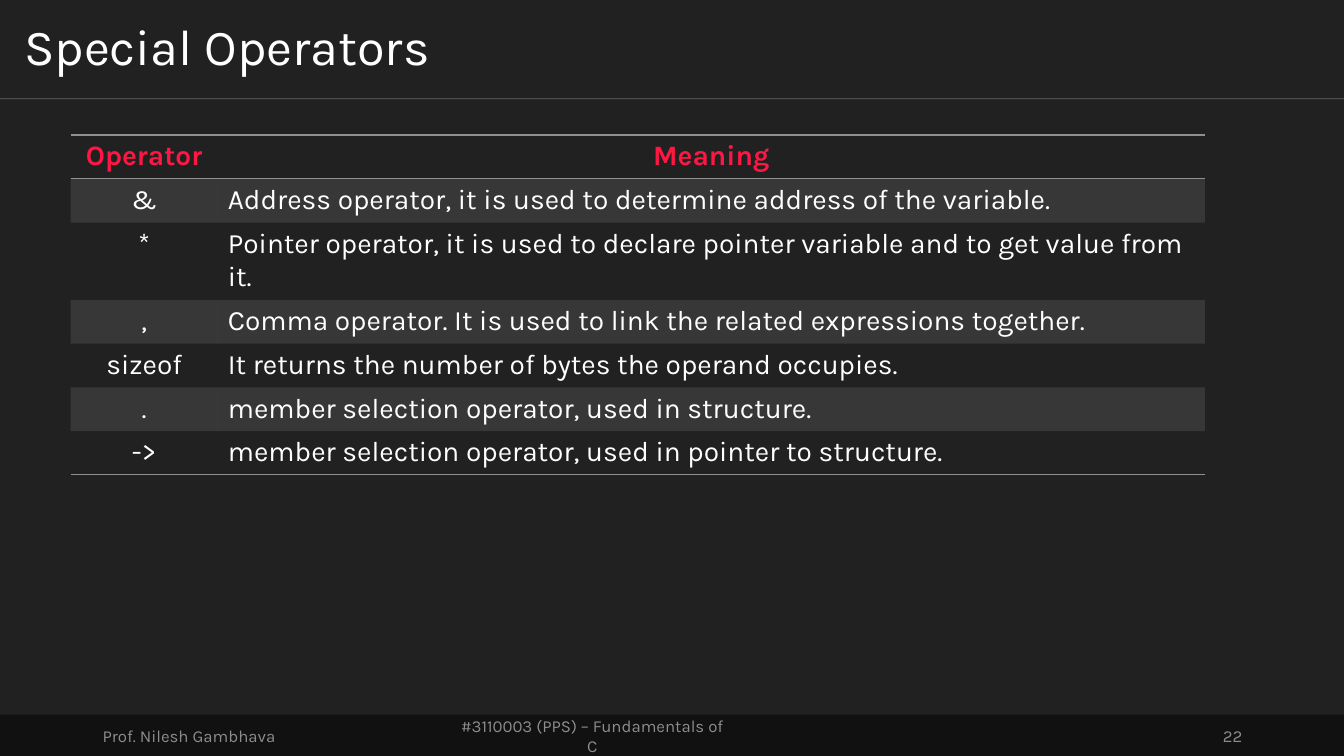
from dataclasses import dataclass

from lxml.etree import SubElement
from pptx import Presentation
from pptx.dml.color import RGBColor
from pptx.enum.shapes import MSO_CONNECTOR, MSO_SHAPE
from pptx.enum.text import MSO_ANCHOR, PP_ALIGN
from pptx.oxml import parse_xml
from pptx.oxml.ns import nsdecls, qn
from pptx.util import Inches, Pt


@dataclass(frozen=True)
class Theme:
    font: str = "Karla"
    background: str = "212121"
    footer_bar: str = "111111"
    footer_text: str = "8D8D8D"
    text: str = "FFFFFF"
    accent: str = "FF1744"
    table_gray: str = "909090"
    title_size: int = 36
    table_size: int = 20
    footer_size: int = 12


THEME = Theme()
NO_GRID_STYLE = "{2D5ABB26-0587-4C30-8999-92F81FD0307C}"

HEADINGS = ("Operator", "Meaning")
OPERATORS = [
    ("&", "Address operator, it is used to determine address of the variable."),
    ("*", "Pointer operator, it is used to declare pointer variable and to get value from it."),
    (",", "Comma operator. It is used to link the related expressions together."),
    ("sizeof", "It returns the number of bytes the operand occupies."),
    (".", "member selection operator, used in structure."),
    ("->", "member selection operator, used in pointer to structure."),
]
FOOTERS = [
    (0.92, 3, "Prof. Nilesh Gambhava", PP_ALIGN.LEFT),
    (4.42, 2.91, "#3110003 (PPS) – Fundamentals of C", PP_ALIGN.CENTER),
    (9.42, 3, "22", PP_ALIGN.RIGHT),
]


def write_text(frame, text, size, color, align=PP_ALIGN.LEFT, bold=False, spacing=None):
    paragraph = frame.paragraphs[0]
    paragraph.alignment = align
    paragraph.line_spacing = spacing
    run = paragraph.add_run()
    run.text = text
    run.font.name = THEME.font
    run.font.size = Pt(size)
    run.font.bold = bold
    run.font.color.rgb = RGBColor.from_string(color)


def add_text(slide, left, top, width, height, text, inset=(0.1, 0.05), **text_format):
    box = slide.shapes.add_textbox(Inches(left), Inches(top), Inches(width), Inches(height))
    frame = box.text_frame
    frame.word_wrap = True
    frame.vertical_anchor = MSO_ANCHOR.MIDDLE
    frame.margin_left = frame.margin_right = Inches(inset[0])
    frame.margin_top = frame.margin_bottom = Inches(inset[1])
    write_text(frame, text, **text_format)


def set_alpha(fill_parent, percent):
    color = next(fill_parent.iter(qn("a:srgbClr")))
    SubElement(color, qn("a:alpha"), val=str(percent * 1000))


def add_title_rule(slide, top):
    rule = slide.shapes.add_connector(
        MSO_CONNECTOR.STRAIGHT, Inches(0), Inches(top), Inches(13.33), Inches(top))
    rule.line.color.rgb = RGBColor.from_string(THEME.text)
    rule.line.width = Pt(0.5)
    properties = rule._element.spPr
    set_alpha(properties, 30)
    SubElement(properties, qn("a:effectLst"))


def add_footer(slide):
    bar = slide.shapes.add_shape(
        MSO_SHAPE.RECTANGLE, Inches(0), Inches(7.09), Inches(13.33), Inches(0.41))
    bar.shadow.inherit = False
    bar.fill.solid()
    bar.fill.fore_color.rgb = RGBColor.from_string(THEME.footer_bar)
    bar.line.fill.background()
    for left, width, text, align in FOOTERS:
        add_text(slide, left, 7.1, width, 0.4, text, size=THEME.footer_size,
                 color=THEME.footer_text, align=align)


def fill_cell(cell, shaded):
    if not shaded:
        cell.fill.background()
        return
    cell.fill.solid()
    cell.fill.fore_color.rgb = RGBColor.from_string(THEME.table_gray)
    set_alpha(cell._tc.tcPr, 20)


def add_borders(cell, sides):
    for position, side in enumerate(sides):
        border = parse_xml(
            f'<a:ln{side} {nsdecls("a")} w="{Pt(1)}"><a:solidFill>'
            f'<a:srgbClr val="{THEME.table_gray}"/></a:solidFill></a:ln{side}>')
        cell._tc.get_or_add_tcPr().insert(position, border)


def add_operator_table(slide):
    rows = [HEADINGS, *OPERATORS]
    row_height = 0.41
    table = slide.shapes.add_table(
        len(rows), len(HEADINGS), Inches(0.7), Inches(1.34),
        Inches(11.25), Inches(row_height * len(rows))).table
    table._tbl.tblPr.find(qn("a:tableStyleId")).text = NO_GRID_STYLE
    for column, width in zip(table.columns, (1.46, 9.79)):
        column.width = Inches(width)
    last = len(rows) - 1
    for row_index, row in enumerate(rows):
        table.rows[row_index].height = Inches(row_height)
        heading = row_index == 0
        sides = {0: "TB", last: "B"}.get(row_index, "")
        for column_index, text in enumerate(row):
            cell = table.cell(row_index, column_index)
            centered = heading or column_index == 0
            write_text(cell.text_frame, text, THEME.table_size,
                       THEME.accent if heading else THEME.text,
                       align=PP_ALIGN.CENTER if centered else PP_ALIGN.LEFT,
                       bold=heading)
            fill_cell(cell, row_index % 2 == 1)
            add_borders(cell, sides)


def main():
    presentation = Presentation()
    presentation.slide_width = Inches(13.33)
    presentation.slide_height = Inches(7.5)
    slide = presentation.slides.add_slide(presentation.slide_layouts[6])
    slide.background.fill.solid()
    slide.background.fill.fore_color.rgb = RGBColor.from_string(THEME.background)
    add_title_rule(slide, 0.98)
    add_footer(slide)
    add_text(slide, 0, 0, 13.33, 0.98, "Special Operators", inset=(0.24, 0.12),
             size=THEME.title_size, color=THEME.text, spacing=0.9)
    add_operator_table(slide)
    presentation.save("out.pptx")


if __name__ == "__main__":
    main()
